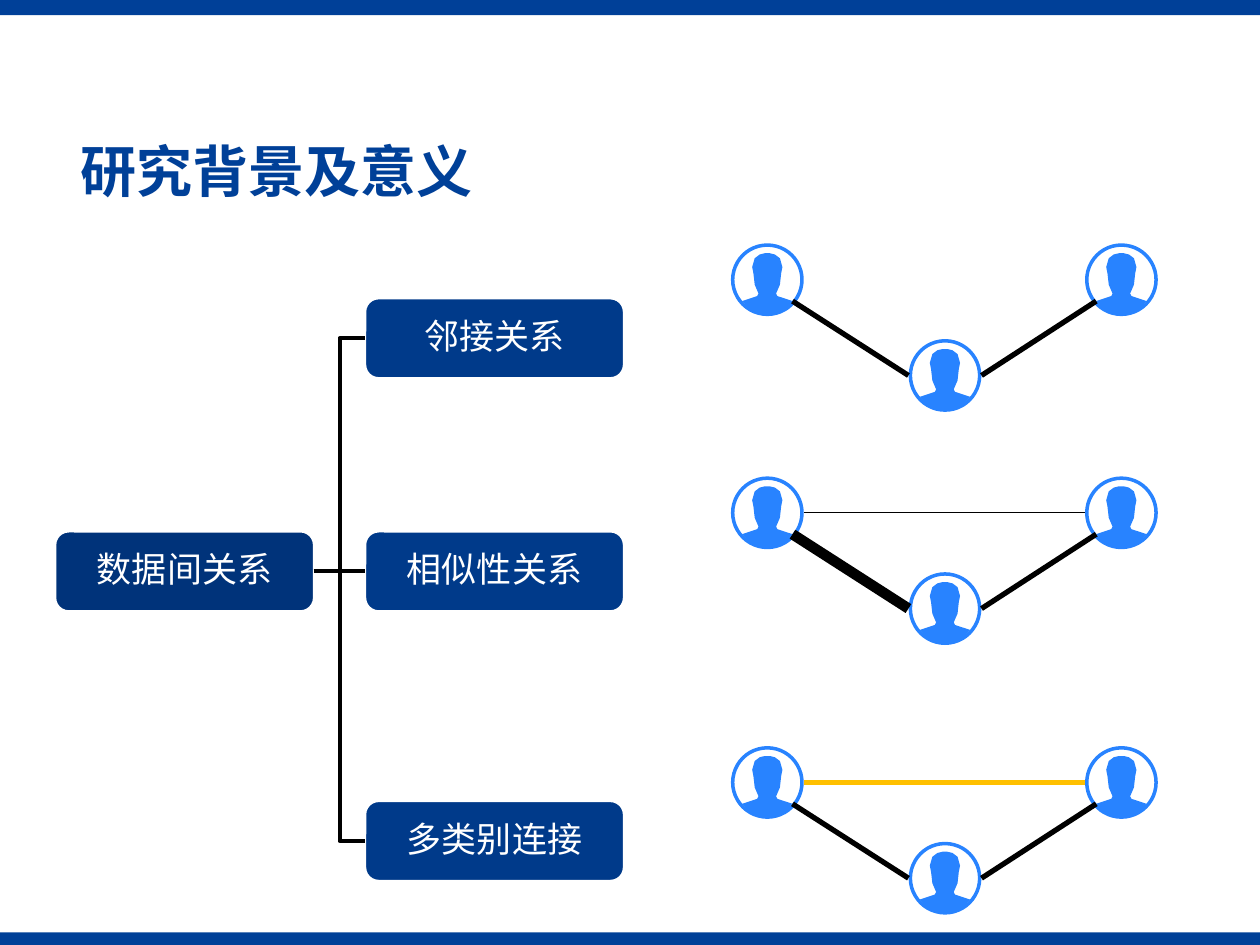
from dataclasses import dataclass
from math import cos, radians, sin

from lxml import etree
from pptx import Presentation
from pptx.dml.color import RGBColor
from pptx.enum.shapes import MSO_CONNECTOR, MSO_SHAPE
from pptx.enum.text import MSO_ANCHOR, PP_ALIGN
from pptx.oxml.ns import qn
from pptx.util import Inches, Pt

RECTANGLE, ROUNDED, OVAL = MSO_SHAPE.RECTANGLE, MSO_SHAPE.ROUNDED_RECTANGLE, MSO_SHAPE.OVAL
STRAIGHT, ELBOW = MSO_CONNECTOR.STRAIGHT, MSO_CONNECTOR.ELBOW
LEFT, CENTER, MIDDLE = PP_ALIGN.LEFT, PP_ALIGN.CENTER, MSO_ANCHOR.MIDDLE
LEFT_SIDE, RIGHT_SIDE = 1, 3

FONT = "Noto Sans CJK SC"
THEME_BLUE, ROOT_BLUE, BRANCH_BLUE = "004098", "00337A", "003A8A"
USER_BLUE, BLACK, WHITE, GOLD = "2883FF", "000000", "FFFFFF", "FFC000"

SLIDE_WIDTH, SLIDE_HEIGHT = 10, 7.5
BOX_WIDTH, BOX_HEIGHT = 2.05, 0.63
ROOT_LEFT, BRANCH_LEFT = 0.44, 2.9

# Users in one network: left and right on top, the middle one lower
LEFT_USER_X, MIDDLE_USER_X, RIGHT_USER_X = 6.09, 7.5, 8.9
USER_DROP = 0.76
RING_SIZE, USER_RADIUS = 0.55, 0.29
SHOULDER_X, SHOULDER_Y = 0.2, 0.17
HALF_OUTLINE = [
    (SHOULDER_X, SHOULDER_Y), (0.08, 0.13), (0.07, 0.11), (0.1, 0.04),
    (0.11, -0.05), (0.12, -0.1), (0.1, -0.17), (0.06, -0.2), (0.02, -0.21),
]
CHEST_ANGLES = (120, 100, 80, 60)


@dataclass
class Link:
    width: float
    color: str = BLACK


@dataclass
class Relation:
    label: str
    top: float
    left_link: Link
    right_link: Link
    top_link: Link | None = None


RELATIONS = [
    Relation("邻接关系", 2.37, Link(3), Link(3)),
    Relation("相似性关系", 4.22, Link(6), Link(3), Link(0.5)),
    Relation("多类别连接", 6.36, Link(3), Link(3), Link(3, GOLD)),
]


def rgb(color: str) -> RGBColor:
    return RGBColor.from_string(color)


def add_text(shape, text: str, size: float, color: str, alignment, bold: bool = False) -> None:
    frame = shape.text_frame
    frame.word_wrap = True
    frame.vertical_anchor = MIDDLE
    paragraph = frame.paragraphs[0]
    paragraph.alignment = alignment
    paragraph.line_spacing = 0.9
    run = paragraph.add_run()
    run.text = text
    run.font.size = Pt(size)
    run.font.bold = bold
    run.font.color.rgb = rgb(color)
    run.font.name = FONT
    etree.SubElement(run._r.get_or_add_rPr(), qn("a:ea"), typeface=FONT)


def style_shape(shape, fill: str, outline: str | None = None, width: float = 1) -> None:
    shape.shadow.inherit = False
    shape.fill.solid()
    shape.fill.fore_color.rgb = rgb(fill)
    if outline:
        shape.line.color.rgb = rgb(outline)
        shape.line.width = Pt(width)
    else:
        shape.line.fill.background()


def add_preset(slide, kind, left: float, top: float, width: float, height: float):
    return slide.shapes.add_shape(
        kind, Inches(left), Inches(top), Inches(width), Inches(height))


def add_bar(slide, top: float, height: float) -> None:
    style_shape(add_preset(slide, RECTANGLE, 0, top, SLIDE_WIDTH, height), THEME_BLUE)


def add_box(slide, left: float, top: float, label: str, color: str):
    box = add_preset(slide, ROUNDED, left, top, BOX_WIDTH, BOX_HEIGHT)
    style_shape(box, color, WHITE)
    add_text(box, label, 20, WHITE, CENTER)
    return box


def add_line(slide, start: tuple, end: tuple, link: Link, kind=STRAIGHT):
    line = slide.shapes.add_connector(kind, *(Inches(value) for value in start + end))
    line.line.color.rgb = rgb(link.color)
    line.line.width = Pt(link.width)
    etree.SubElement(line._element.spPr, qn("a:effectLst"))
    return line


def add_branch(slide, root, box) -> None:
    kind = STRAIGHT if box.top == root.top else ELBOW
    branch = add_line(slide, (0, 0), (1, 1), Link(2.25), kind)
    branch.begin_connect(root, RIGHT_SIDE)
    branch.end_connect(box, LEFT_SIDE)


def add_user(slide, center_x: float, center_y: float) -> None:
    """Draw a ring holding a plain head and shoulders."""
    ring = add_preset(slide, OVAL, center_x - RING_SIZE / 2, center_y - RING_SIZE / 2,
                      RING_SIZE, RING_SIZE)
    style_shape(ring, WHITE, USER_BLUE, 2)
    radius = RING_SIZE / 2
    mirrored = [(-x, y) for x, y in reversed(HALF_OUTLINE)]
    chest = [(radius * cos(radians(angle)), radius * sin(radians(angle)))
             for angle in CHEST_ANGLES]
    points = [(Inches(center_x + x), Inches(center_y + y))
              for x, y in HALF_OUTLINE + mirrored + chest]
    builder = slide.shapes.build_freeform(*points[0])
    builder.add_line_segments(points[1:], close=True)
    style_shape(builder.convert_to_shape(), USER_BLUE)


def add_network(slide, relation: Relation) -> None:
    top_y = relation.top - 0.15
    low_y = top_y + USER_DROP
    add_user(slide, LEFT_USER_X, top_y)
    add_user(slide, RIGHT_USER_X, top_y)
    add_user(slide, MIDDLE_USER_X, low_y)
    if relation.top_link:
        add_line(slide, (LEFT_USER_X + USER_RADIUS, top_y),
                 (RIGHT_USER_X - USER_RADIUS, top_y), relation.top_link)
    shoulder_y = top_y + SHOULDER_Y
    add_line(slide, (LEFT_USER_X + SHOULDER_X, shoulder_y),
             (MIDDLE_USER_X - USER_RADIUS, low_y), relation.left_link)
    add_line(slide, (MIDDLE_USER_X + USER_RADIUS, low_y),
             (RIGHT_USER_X - SHOULDER_X, shoulder_y), relation.right_link)


def main() -> None:
    presentation = Presentation()
    presentation.slide_width = Inches(SLIDE_WIDTH)
    presentation.slide_height = Inches(SLIDE_HEIGHT)
    slide = presentation.slides.add_slide(presentation.slide_layouts[5])

    add_bar(slide, 7.4, 0.1)
    add_bar(slide, 0, 0.12)

    title = slide.shapes.title
    title.left, title.top = Inches(0.54), Inches(1.07)
    title.width, title.height = Inches(9.16), Inches(0.63)
    add_text(title, "研究背景及意义", 32, THEME_BLUE, LEFT, bold=True)

    root = add_box(slide, ROOT_LEFT, RELATIONS[1].top, "数据间关系", ROOT_BLUE)
    for relation in RELATIONS:
        box = add_box(slide, BRANCH_LEFT, relation.top, relation.label, BRANCH_BLUE)
        add_branch(slide, root, box)
        add_network(slide, relation)

    presentation.save("out.pptx")


if __name__ == "__main__":
    main()
